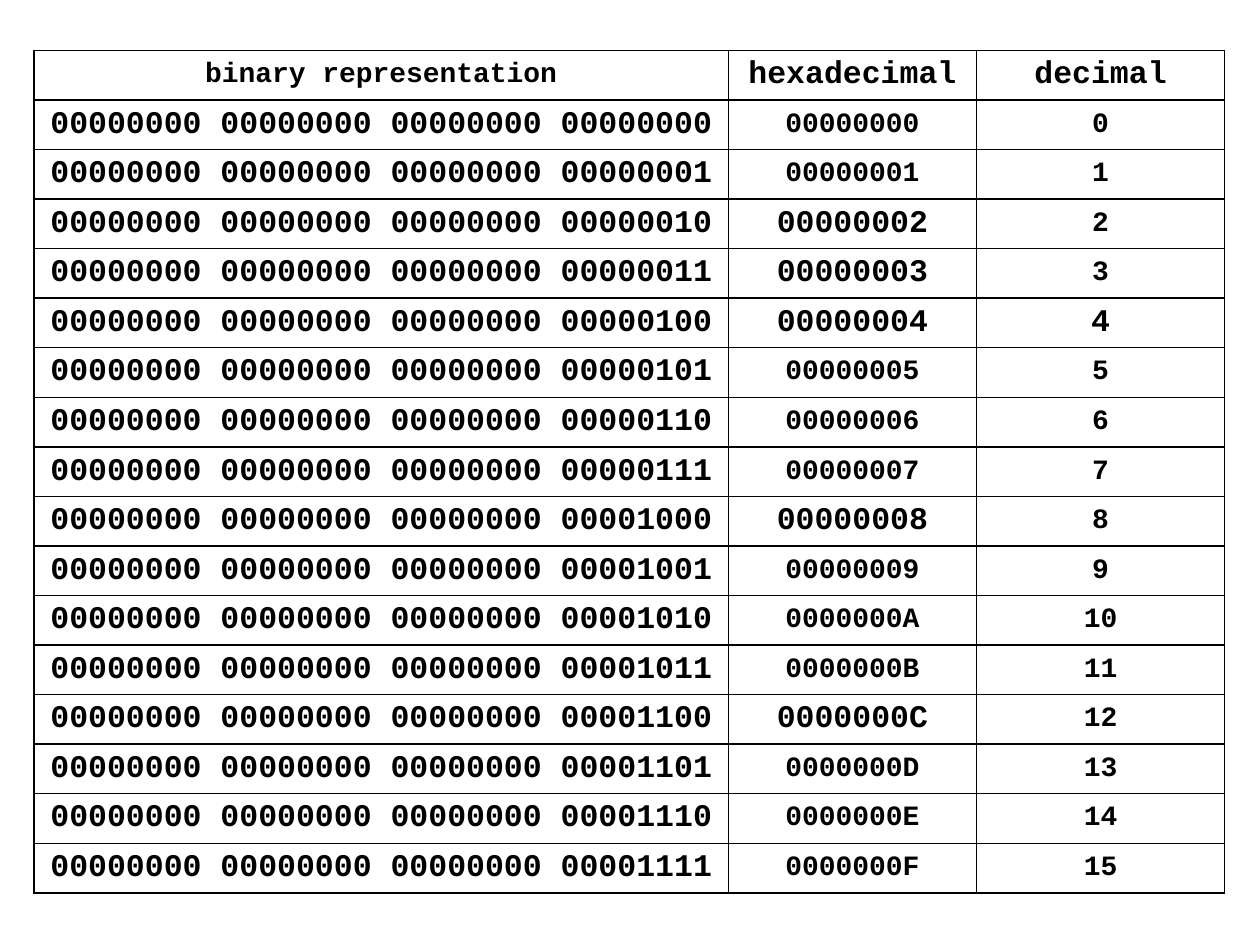
from lxml import etree
from pptx import Presentation
from pptx import util as u
from pptx.dml.color import RGBColor
from pptx.enum import text
from pptx.oxml import ns

BLACK = RGBColor(0x00, 0x00, 0x00)
WHITE = RGBColor(0xFF, 0xFF, 0xFF)
SMALL, LARGE = 16, 18

LARGE_HEX = {2, 3, 4, 8, 12}
LARGE_DECIMAL = {4}
HEADER = [("binary representation", SMALL), ("hexadecimal", LARGE), ("decimal", LARGE)]


def write(frame, content, size=SMALL, color=BLACK, bold=True, font="Courier New",
          align=text.PP_ALIGN.CENTER):
    paragraph = frame.paragraphs[0]
    paragraph.alignment = align
    run = paragraph.add_run()
    run.text = content
    run.font.name = font
    run.font.size = u.Pt(size)
    run.font.bold = bold
    run.font.color.rgb = color


def number_row(number):
    """Return the three (text, size) pairs that show one number."""
    bits = f"{number:032b}"
    octets = " ".join(bits[i:i + 8] for i in range(0, 32, 8))
    return [
        (octets, LARGE),
        (f"{number:08X}", LARGE if number in LARGE_HEX else SMALL),
        (str(number), LARGE if number in LARGE_DECIMAL else SMALL),
    ]


class SlideBuilder:
    def __init__(self, slide, border_width=1):
        self.slide = slide
        self.border_width = border_width

    def border(self, cell):
        properties = cell._tc.get_or_add_tcPr()
        for side in ("lnL", "lnR", "lnT", "lnB"):
            line = etree.SubElement(properties, ns.qn(f"a:{side}"),
                                    w=str(u.Pt(self.border_width)))
            fill = etree.SubElement(line, ns.qn("a:solidFill"))
            etree.SubElement(fill, ns.qn("a:srgbClr"), val=str(BLACK))

    def cell(self, cell, content, size):
        self.border(cell)
        cell.fill.solid()
        cell.fill.fore_color.rgb = WHITE
        cell.vertical_anchor = text.MSO_ANCHOR.MIDDLE
        cell.margin_left = cell.margin_right = u.Inches(0.1)
        cell.margin_top = cell.margin_bottom = u.Inches(0.04)
        write(cell.text_frame, content, size=size)

    def table(self, rows, left, top, widths, height):
        table = self.slide.shapes.add_table(
            len(rows), len(widths), u.Inches(left), u.Inches(top),
            u.Inches(sum(widths)), u.Inches(height)).table
        table.first_row = table.horz_banding = False
        for column, width in zip(table.columns, widths):
            column.width = u.Inches(width)
        for r, row in enumerate(rows):
            for c, (content, size) in enumerate(row):
                self.cell(table.cell(r, c), content, size)


def main():
    deck = Presentation()
    deck.slide_width, deck.slide_height = u.Inches(10), u.Inches(7.5)
    builder = SlideBuilder(deck.slides.add_slide(deck.slide_layouts[6]))
    rows = [HEADER] + [number_row(number) for number in range(16)]
    builder.table(rows, left=0.27, top=0.4, widths=[5.51, 1.97, 1.97], height=6.69)
    deck.save("out.pptx")


if __name__ == "__main__":
    main()
